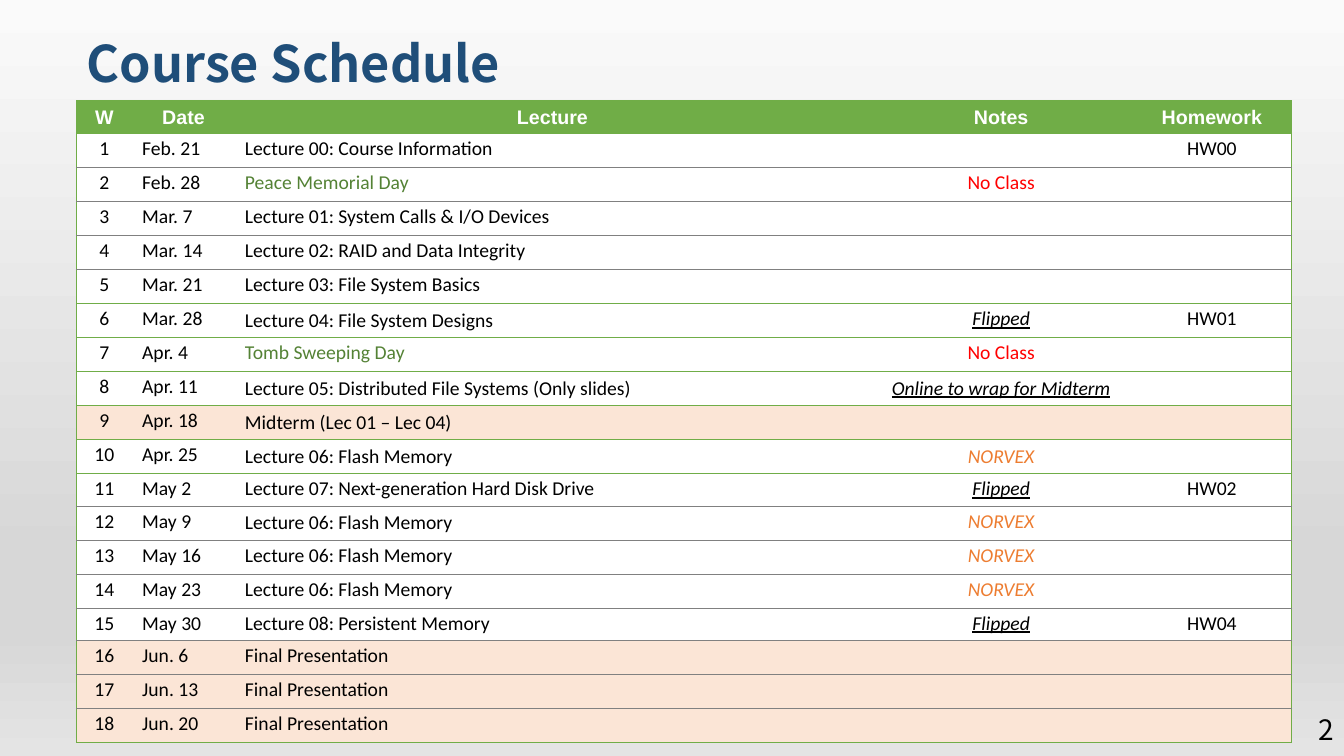
"""Build the course schedule slide."""
from lxml.etree import SubElement
from pptx import Presentation
from pptx.dml.color import RGBColor
from pptx.enum.shapes import MSO_SHAPE
from pptx.enum.text import MSO_ANCHOR, MSO_AUTO_SIZE, PP_ALIGN
from pptx.oxml import parse_xml
from pptx.oxml.ns import nsdecls, qn
from pptx.util import Inches, Pt

NAVY = RGBColor(0x1F, 0x4E, 0x79)
GREEN = RGBColor(0x70, 0xAD, 0x47)
HOLIDAY = RGBColor(0x54, 0x82, 0x35)
RED = RGBColor(0xFF, 0x00, 0x00)
ORANGE = RGBColor(0xED, 0x7D, 0x31)
PEACH = RGBColor(0xFB, 0xE5, 0xD6)
GRAY = RGBColor(0x80, 0x80, 0x80)
BLACK = RGBColor(0x00, 0x00, 0x00)
WHITE = RGBColor(0xFF, 0xFF, 0xFF)
BACKDROP = [(0, RGBColor(0xFA, 0xFA, 0xFA)), (74, RGBColor(0xD7, 0xD7, 0xD7)),
            (83, RGBColor(0xD7, 0xD7, 0xD7)), (100, RGBColor(0xE4, 0xE4, 0xE4))]

HEADER = ["W", "Date", "Lecture", "Notes", "Homework"]
SCHEDULE = [
    ("Feb. 21", "Lecture 00: Course Information", "", "HW00"),
    ("Feb. 28", "Peace Memorial Day", "No Class", ""),
    ("Mar. 7", "Lecture 01: System Calls & I/O Devices", "", ""),
    ("Mar. 14", "Lecture 02: RAID and Data Integrity", "", ""),
    ("Mar. 21", "Lecture 03: File System Basics", "", ""),
    ("Mar. 28", "Lecture 04: File System Designs", "Flipped", "HW01"),
    ("Apr. 4", "Tomb Sweeping Day", "No Class", ""),
    ("Apr. 11", "Lecture 05: Distributed File Systems (Only slides)",
     "Online to wrap for Midterm", ""),
    ("Apr. 18", "Midterm (Lec 01 – Lec 04)", "", ""),
    ("Apr. 25", "Lecture 06: Flash Memory", "NORVEX", ""),
    ("May 2", "Lecture 07: Next-generation Hard Disk Drive", "Flipped", "HW02"),
    ("May 9", "Lecture 06: Flash Memory", "NORVEX", ""),
    ("May 16", "Lecture 06: Flash Memory", "NORVEX", ""),
    ("May 23", "Lecture 06: Flash Memory", "NORVEX", ""),
    ("May 30", "Lecture 08: Persistent Memory", "Flipped", "HW04"),
    ("Jun. 6", "Final Presentation", "", ""),
    ("Jun. 13", "Final Presentation", "", ""),
    ("Jun. 20", "Final Presentation", "", ""),
]
ROWS = [HEADER] + [(str(w), *row) for w, row in enumerate(SCHEDULE, 1)]
COLS = [0.55, 1.02, 6.3, 2.6, 1.58]
EXAM_WEEKS = {9, 16, 17, 18}
GREEN_RULES = {0, 1, 6, 7, 8, 9, 10, 11, len(ROWS)}
SINGLE_SPACED = {(6, 2), (8, 2), (9, 2), (10, 2), (12, 2), (8, 3), (10, 3)}

HEAD_FONT = {"name": "Arial", "size": Pt(14), "bold": True}
BODY_FONT = {"name": "Calibri", "size": Pt(14), "bold": False}
EMPHASIS = {"italic": True, "underline": True}
STYLES = {
    "Peace Memorial Day": (HOLIDAY, {}),
    "Tomb Sweeping Day": (HOLIDAY, {}),
    "No Class": (RED, {}),
    "Flipped": (BLACK, EMPHASIS),
    "Online to wrap for Midterm": (BLACK, EMPHASIS),
    "NORVEX": (ORANGE, {"italic": True}),
}


def add_text(p, text, color, font):
    r = p.add_run()
    r.text = text
    r.font.color.rgb = color
    for key, value in font.items():
        setattr(r.font, key, value)


def add_border(cell, index, side, color, width):
    ln = parse_xml(f'<a:{side} {nsdecls("a")} w="{Pt(width)}"><a:solidFill>'
                   f'<a:srgbClr val="{color}"/></a:solidFill></a:{side}>')
    cell._tc.get_or_add_tcPr().insert(index, ln)


prs = Presentation()
prs.slide_width, prs.slide_height = Inches(13.33), Inches(7.5)
s = prs.slides.add_slide(prs.slide_layouts[5])

sp = s.shapes.add_shape(MSO_SHAPE.RECTANGLE, 0, 0, prs.slide_width, prs.slide_height)
sp.shadow.inherit = False
sp.line.fill.background()
sp.fill.gradient()
grad = sp._element.spPr.find(qn("a:gradFill"))
stops = grad.find(qn("a:gsLst"))
for stop in list(stops):
    stops.remove(stop)
for share, color in BACKDROP:
    stop = SubElement(stops, qn("a:gs"), pos=str(share * 1000))
    SubElement(stop, qn("a:srgbClr"), val=str(color))
grad.find(qn("a:lin")).set("ang", "5400000")
s.shapes._spTree.insert(2, sp._element)

title = s.shapes.title
title.left, title.top, title.width, title.height = map(Inches, (0.76, 0.21, 11.31, 0.77))
number = s.shapes.add_textbox(*map(Inches, (12.08, 7.14, 1.25, 0.2)))
for sp, text, anchor, align, color, font in [
    (title, "Course Schedule", MSO_ANCHOR.BOTTOM, PP_ALIGN.LEFT, NAVY,
     {"size": Pt(36), "bold": True}),
    (number, "2", MSO_ANCHOR.MIDDLE, PP_ALIGN.RIGHT, BLACK, {"size": Pt(20)}),
]:
    tf = sp.text_frame
    tf.word_wrap, tf.auto_size, tf.vertical_anchor = True, MSO_AUTO_SIZE.NONE, anchor
    p = tf.paragraphs[0]
    p.alignment = align
    add_text(p, text, color, {"name": "Noto Sans CJK TC", **font})
title.text_frame.paragraphs[0].line_spacing = 0.9

frame = s.shapes.add_table(len(ROWS), len(COLS), *map(Inches, (0.76, 1, 12.05, 6.18)))
table = frame.table
table.first_row = table.horz_banding = False
table._tbl.tblPr.find(qn("a:tableStyleId")).text = "{2D5ABB26-0587-4C30-8999-92F81FD0307C}"
for col, width in zip(table.columns, COLS):
    col.width = Inches(width)

for i, row in enumerate(ROWS):
    for j, text in enumerate(row):
        cell = table.cell(i, j)
        cell.fill.solid()
        cell.fill.fore_color.rgb = GREEN if i == 0 else PEACH if i in EXAM_WEEKS else WHITE
        borders = [("lnL", GREEN, 1)] if j == 0 else []
        if j == len(COLS) - 1:
            borders.append(("lnR", GREEN, 1))
        for side, rule in (("lnT", i), ("lnB", i + 1)):
            borders.append((side, GREEN, 1) if rule in GREEN_RULES else (side, GRAY, 0.5))
        for index, border in enumerate(borders):
            add_border(cell, index, *border)

        p = cell.text_frame.paragraphs[0]
        if not text:
            end = SubElement(p._p, qn("a:endParaRPr"), sz="1400")
            SubElement(end, qn("a:latin"), typeface="Calibri")
            continue
        p.alignment = PP_ALIGN.LEFT if i and j in (1, 2) else PP_ALIGN.CENTER
        if (i, j) not in SINGLE_SPACED:
            p.line_spacing = Pt(16)
        color, extra = STYLES.get(text, (BLACK, {})) if i else (WHITE, {})
        add_text(p, text, color, {**(BODY_FONT if i else HEAD_FONT), **extra})

prs.save("out.pptx")
